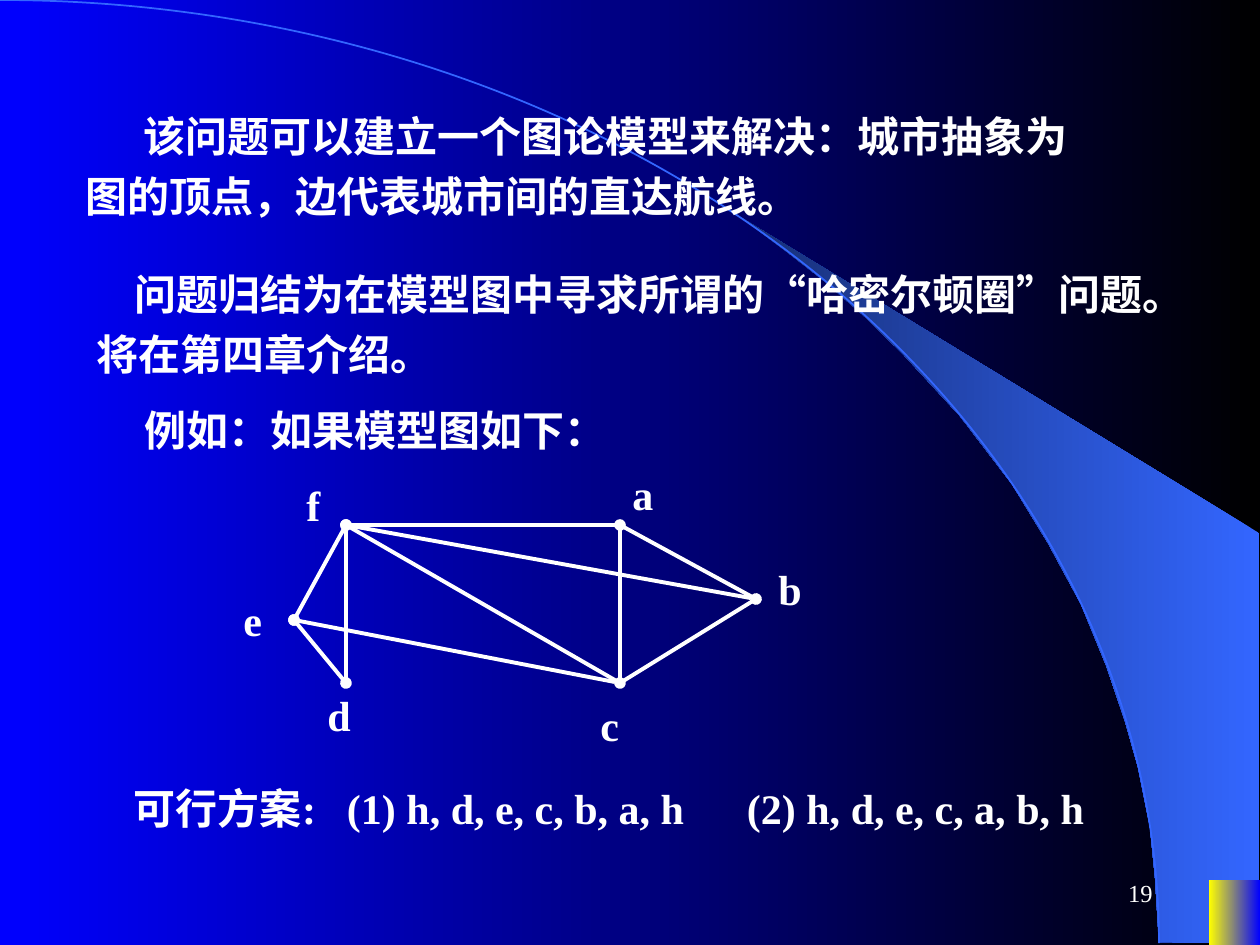
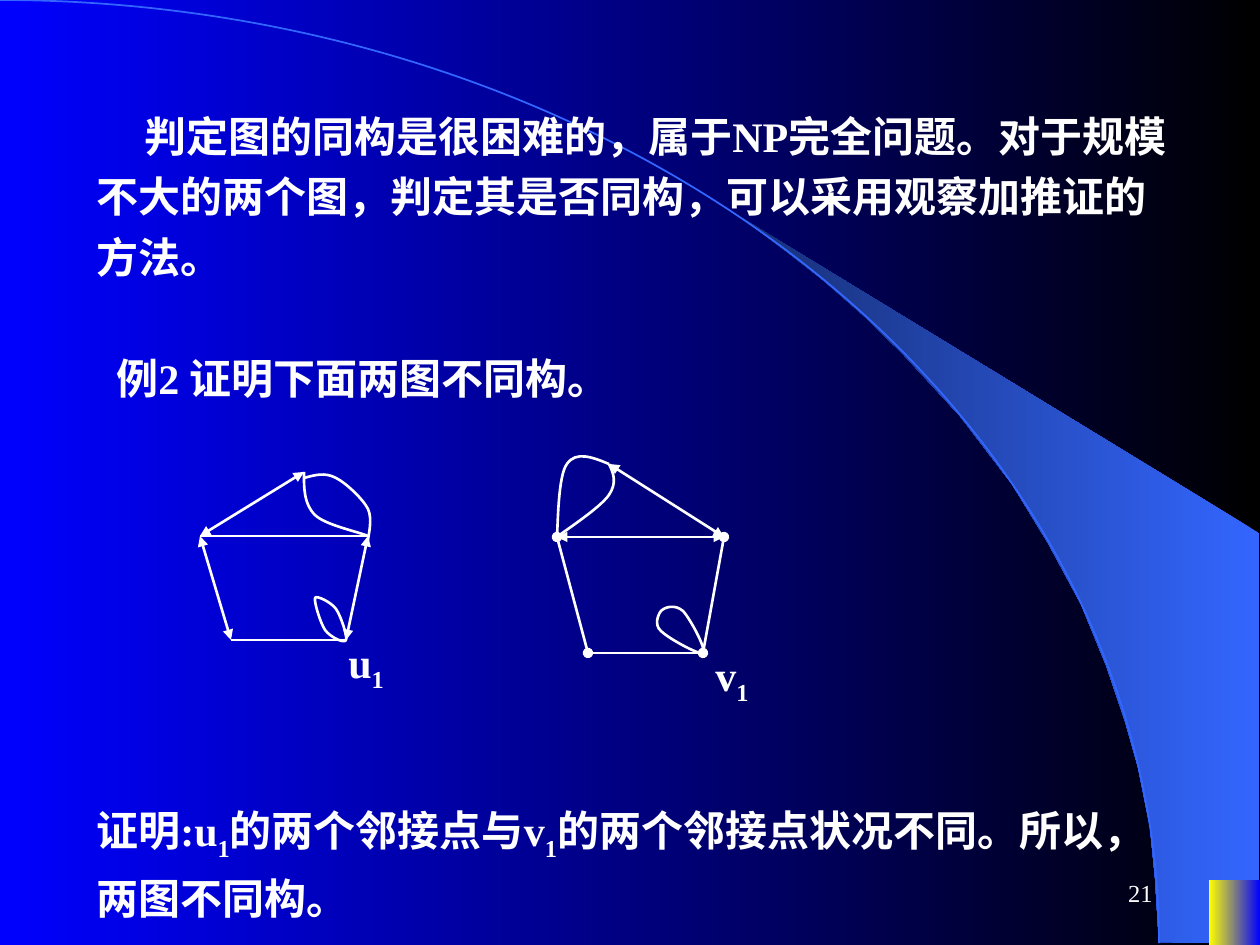
from lxml import etree
from pptx import Presentation
from pptx.dml.color import RGBColor
from pptx.enum import shapes, text
from pptx.oxml.ns import qn
from pptx.util import Pt

PX = 914400 / 126
FONT = "Times New Roman"
BLACK = RGBColor(0x00, 0x00, 0x00)
BLUE = RGBColor(0x00, 0x00, 0xFF)
SKY = RGBColor(0x33, 0x66, 0xFF)
NAVY = RGBColor(0x17, 0x2F, 0x75)
YELLOW = RGBColor(0xFF, 0xFF, 0x00)
WHITE = RGBColor(0xFF, 0xFF, 0xFF)
BLANK_LAYOUT = 6
FIRST_MASTER_ID = 20
INSET = 13

WEDGE = [(1159, 942), (1259, 944), (1259, 533), (742, 218), (786, 251), (823, 280),
         (863, 315), (902, 353), (960, 416), (1012, 484), (1048, 543), (1081, 604),
         (1106, 665), (1125, 721), (1138, 767), (1150, 827), (1155, 877)]
ARC_BOX = (-1159, 0, 2318, 1886)
CORNER_BOX = (1209, 880, 51, 65)

CITIES = {"a": (620, 525), "b": (756, 599), "c": (620, 683),
          "d": (346, 683), "e": (294, 620), "f": (346, 525)}
CITY_LABELS = {"a": (620, 462), "b": (766, 557), "c": (588, 693),
               "d": (315, 683), "e": (231, 588), "f": (294, 473)}
DOTTED_FLIGHTS = ["ec", "fa", "ed", "fb"]
PLAIN_FLIGHTS = ["fe", "fd", "ac", "ab", "bc", "fc"]

U_VERTICES = {"top": (304, 472), "left": (200, 536), "right": (368, 536),
              "foot": (231, 640), "u1": (346, 640)}
U_EDGES = [("top", "left", "triangle"), ("left", "right", None),
           ("left", "foot", "triangle"), ("foot", "u1", None),
           ("right", "u1", "triangle")]
U_CURVES = [
    [(304, 472), (304, 489), (304, 504), (315, 515), (325, 525), (359, 532), (368, 536)],
    [(304, 478), (315, 475), (325, 472), (336, 478), (346, 483), (363, 499), (368, 509),
     (373, 520), (368, 536), (368, 541)],
    [(346, 640), (345, 644), (331, 638), (325, 630), (320, 622), (314, 602), (315, 598),
     (316, 595), (331, 602), (336, 609), (341, 616), (348, 638), (346, 640)],
]
V_VERTICES = {"top": (609, 464), "left": (557, 537), "right": (724, 537),
              "foot": (588, 653), "v1": (703, 653)}
V_EDGES = [("left", "right", "triangle"), ("top", "right", "triangle"),
           ("left", "foot", "oval"), ("right", "v1", "oval"), ("foot", "v1", None)]
V_CURVES = [
    [(609, 464), (592, 457), (576, 451), (567, 464), (558, 476), (558, 525), (557, 537)],
    [(609, 464), (614, 474), (617, 483), (609, 495), (600, 508), (566, 530), (557, 537)],
    [(703, 653), (701, 656), (669, 639), (661, 631), (654, 625), (658, 615), (661, 611),
     (665, 607), (675, 604), (683, 611), (689, 617), (707, 649), (703, 653)],
]


def px(*lengths):
    return [round(length * PX) for length in lengths]


def set_gradient(fill, start, end):
    fill.gradient()
    fill.gradient_angle = 180
    for stop, color in zip(fill.gradient_stops, (start, end)):
        stop.color.rgb = color


def set_stroke(line, color, width):
    line.color.rgb = color
    line.width = Pt(width)


def add_outline(slide, points, close):
    start, *rest = [tuple(px(*point)) for point in points]
    builder = slide.shapes.build_freeform(*start)
    builder.add_line_segments(rest, close=close)
    outline = builder.convert_to_shape()
    outline.shadow.inherit = False
    return outline


def add_curve(slide, nodes):
    curve = add_outline(slide, nodes, close=nodes[0] == nodes[-1])
    curve.fill.background()
    set_stroke(curve.line, WHITE, 1.5)
    segments = list(curve.element.iter(qn("a:lnTo")))
    for first in range(0, len(nodes) - 1, 3):
        bezier = etree.Element(qn("a:cubicBezTo"))
        segments[first].addprevious(bezier)
        for segment in segments[first:first + 3]:
            bezier.append(segment[0])
            segment.getparent().remove(segment)


def add_preset(slide, kind, box):
    preset = slide.shapes.add_shape(kind, *px(*box))
    preset.shadow.inherit = False
    return preset


def add_edge(slide, start, end, width, ends=None):
    edge = slide.shapes.add_connector(shapes.MSO_CONNECTOR.STRAIGHT, *px(*start, *end))
    set_stroke(edge.line, WHITE, width)
    properties = edge.element.spPr
    if ends:
        for tag in ("a:headEnd", "a:tailEnd"):
            etree.SubElement(properties.find(qn("a:ln")), qn(tag), type=ends)
    etree.SubElement(properties, qn("a:effectLst"))


def add_text(slide, box, lines, size=24, bold=True, spacing=None, indent=0, tabs=()):
    frame = slide.shapes.add_textbox(*px(*box)).text_frame
    frame.word_wrap = True
    for number, line in enumerate(lines):
        paragraph = frame.paragraphs[0] if number == 0 else frame.add_paragraph()
        properties = paragraph._p.get_or_add_pPr()
        if indent and number == 0:
            properties.set("indent", str(px(indent)[0]))
        if tabs:
            stops = etree.SubElement(properties, qn("a:tabLst"))
            for stop in px(*tabs):
                etree.SubElement(stops, qn("a:tab"), pos=str(stop), algn="l")
        if spacing:
            paragraph.line_spacing = spacing
        for part, words in enumerate(line.split("|")):
            run = paragraph.add_run()
            run.text = words
            run.font.name = FONT
            run.font.size = Pt(size)
            run.font.bold = bold
            run.font.color.rgb = WHITE
            if part % 2:
                run.font._element.set("baseline", "-25000")
    return frame


def add_passage(slide, left, top, height, lines, indent=0, tabs=()):
    return add_text(slide, (left, top, 1134, height), lines, spacing=1.2,
                    indent=indent, tabs=tabs)


def add_page_number(slide, number):
    frame = add_text(slide, (903, 861, 262, 63), [str(number)], size=14, bold=False)
    frame.vertical_anchor = text.MSO_ANCHOR.MIDDLE
    frame.paragraphs[0].alignment = text.PP_ALIGN.RIGHT


def decorate_master(master, slide):
    set_gradient(master.background.fill, BLACK, BLUE)
    wedge = add_outline(slide, WEDGE, close=True)
    set_gradient(wedge.fill, SKY, NAVY)
    wedge.line.fill.background()
    arc = add_preset(slide, shapes.MSO_SHAPE.ARC, ARC_BOX)
    arc.fill.background()
    set_stroke(arc.line, SKY, 1)
    corner = add_preset(slide, shapes.MSO_SHAPE.RECTANGLE, CORNER_BOX)
    set_gradient(corner.fill, BLUE, YELLOW)
    corner.line.fill.background()
    for number, ornament in enumerate((wedge, arc, corner), FIRST_MASTER_ID):
        ornament.element.nvSpPr.cNvPr.set("id", str(number))
        master.shapes.element.append(ornament.element)


def draw_city_graph(slide):
    for flights, ends in ((DOTTED_FLIGHTS, "oval"), (PLAIN_FLIGHTS, None)):
        for origin, target in flights:
            add_edge(slide, CITIES[origin], CITIES[target], 2.25, ends)
    for city, corner in CITY_LABELS.items():
        add_text(slide, (*corner, 66, 63), [city])


def draw_pentagon(slide, vertices, edges, curves, label, corner):
    for origin, target, ends in edges:
        add_edge(slide, vertices[origin], vertices[target], 1.5, ends)
    for nodes in curves:
        add_curve(slide, nodes)
    add_text(slide, (*corner, 86, 71), [label])


def fill_hamilton_slide(slide):
    add_passage(slide, 84, 252, 134, ["问题归结为在模型图中寻求所谓的“哈密尔顿圈”问题。",
                                      "将在第四章介绍。"], indent=38)
    add_passage(slide, 84, 388, 73, ["例如：如果模型图如下："], indent=48)
    add_passage(slide, 73, 94, 134, ["该问题可以建立一个图论模型来解决：城市抽象为",
                                     "图的顶点，边代表城市间的直达航线。"], indent=58)
    draw_city_graph(slide)
    routes = add_passage(slide, 73, 766, 73,
                         ["可行方案:\t(1) h, d, e, c, b, a, h\t(2) h, d, e, c, a, b, h"],
                         tabs=(213, 613))
    routes.margin_left = px(INSET + 48)[0]
    add_page_number(slide, 19)


def fill_isomorphism_slide(slide):
    add_passage(slide, 84, 94, 194, ["判定图的同构是很困难的，属于NP完全问题。对于规模",
                                     "不大的两个图，判定其是否同构，可以采用观察加推证的",
                                     "方法。"], indent=48)
    add_passage(slide, 94, 336, 73, ["例2 证明下面两图不同构。"], indent=10)
    draw_pentagon(slide, U_VERTICES, U_EDGES, U_CURVES, "u|1", (336, 630))
    draw_pentagon(slide, V_VERTICES, V_EDGES, V_CURVES, "v|1", (703, 643))
    add_passage(slide, 84, 787, 142, ["证明:u|1|的两个邻接点与v|1|的两个邻接点状况不同。所以，",
                                      "两图不同构。"])
    add_page_number(slide, 21)


def main():
    deck = Presentation()
    deck.slide_width, deck.slide_height = px(1260, 945)
    layout = deck.slide_layouts[BLANK_LAYOUT]
    hamilton, isomorphism = [deck.slides.add_slide(layout) for _ in range(2)]
    decorate_master(deck.slide_master, hamilton)
    fill_hamilton_slide(hamilton)
    fill_isomorphism_slide(isomorphism)
    deck.save("out.pptx")


if __name__ == "__main__":
    main()
